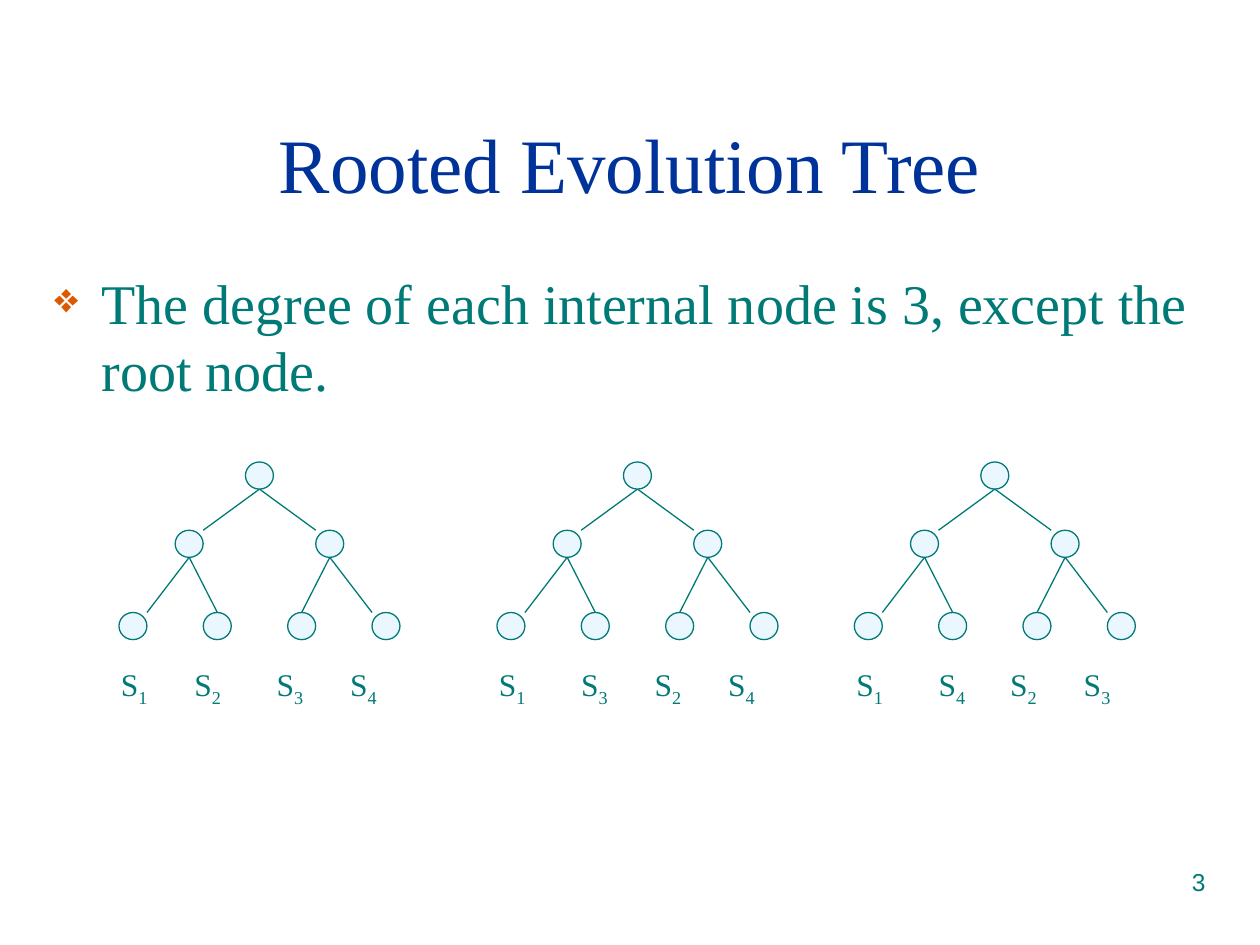
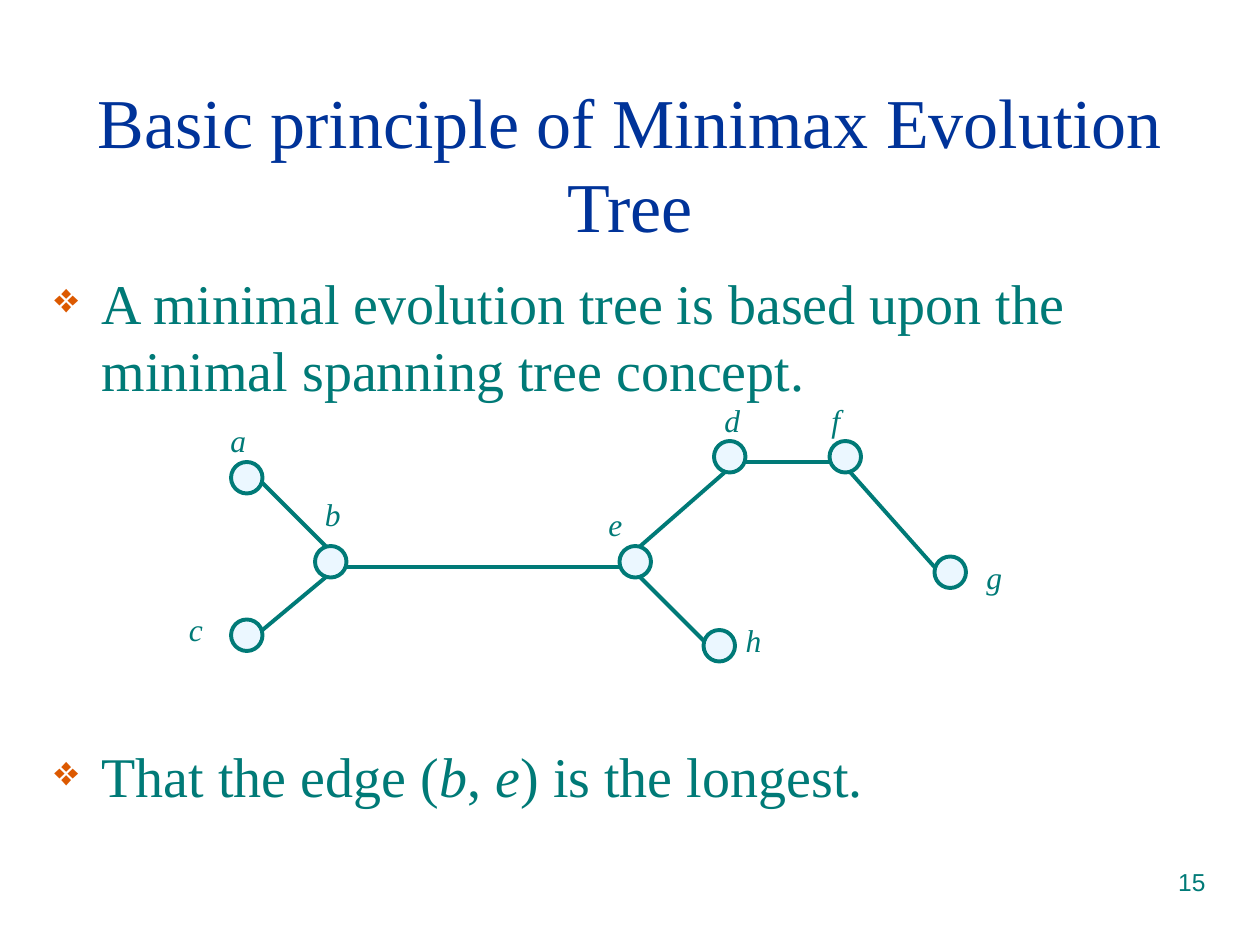
from typing import NamedTuple

from lxml.etree import SubElement
from pptx import Presentation
from pptx.dml.color import RGBColor
from pptx.enum.shapes import MSO_CONNECTOR, MSO_SHAPE
from pptx.enum.text import MSO_ANCHOR, PP_ALIGN
from pptx.oxml.ns import qn
from pptx.util import Pt

BLUE = RGBColor(0x00, 0x33, 0x99)
TEAL = RGBColor(0x00, 0x7A, 0x77)
PALE = RGBColor(0xEB, 0xF7, 0xFF)
ORANGE = RGBColor(0xDC, 0x59, 0x00)
SERIF = "Times New Roman"
SANS = "Arial"


class Run(NamedTuple):
    """A stretch of text in one style."""
    text: str
    size: float = 18
    color: RGBColor = TEAL
    font: str = SERIF
    slant: bool = False
    sub: bool = False


class Box(NamedTuple):
    """A place on the slide."""
    left: float
    top: float
    width: float
    height: float


class Edge(NamedTuple):
    """A straight line between two points."""
    x1: float
    y1: float
    x2: float
    y2: float


class Tree(NamedTuple):
    """A rooted tree with its leaf order and label stops."""
    left: float
    leaves: str
    stops: tuple[float, ...]


class Node(NamedTuple):
    """A named node and the corner of its label."""
    name: str
    x: float
    y: float
    tag_x: float
    tag_y: float


TITLE = Box(24, 48, 672, 90)
BODY = Box(24, 150, 672, 330)
FOOT = Box(516, 492, 180, 37)

PITCH = 48.2
WIDE, HIGH = 16, 15.5
ROWS = (264, 303, 350)
SPOTS = ((1.5, 0), (2 / 3, 1), (7 / 3, 1), (0, 2), (1, 2), (2, 2), (3, 2))
LINKS = ((0, 1, 1), (0, 2, 0), (1, 3, 1), (1, 4, 0.5), (2, 5, 0.5), (2, 6, 0))
TREES = (
    Tree(68, "1234", (42, 89, 131)),
    Tree(284, "1324", (47, 89, 131)),
    Tree(488.2, "1423", (47, 88, 130)),
)

DOT = 18
NODES = (
    Node("a", 132, 264, 124.6, 237),
    Node("b", 180, 312, 178.6, 279.4),
    Node("c", 132, 354, 100.8, 345),
    Node("d", 408, 252, 406.8, 225.4),
    Node("e", 354, 312, 340.6, 285.1),
    Node("f", 474, 252, 468, 225.4),
    Node("g", 534, 318, 556.6, 315.4),
    Node("h", 402, 360, 419, 351.4),
)
EDGES = (
    Edge(150, 276, 186, 312),
    Edge(150, 360, 186, 330),
    Edge(198, 324, 354, 324),
    Edge(366, 312, 414, 270),
    Edge(426, 264, 474, 264),
    Edge(486, 270, 534, 324),
    Edge(366, 330, 402, 366),
)


def put_runs(para, runs: list[Run]) -> None:
    """Add styled runs to a paragraph."""
    for item in runs:
        run = para.add_run()
        run.text = item.text
        font = run.font
        font.size = Pt(item.size)
        font.name = item.font
        font.color.rgb = item.color
        font.italic = item.slant
        if item.sub:
            font._element.set("baseline", "-25000")


def add_text(shapes, box: Box, runs: list[Run], align=PP_ALIGN.LEFT,
             anchor=MSO_ANCHOR.TOP, stops: tuple[float, ...] = ()):
    """Add a text box with one paragraph and return its frame."""
    frame = shapes.add_textbox(*map(Pt, box)).text_frame
    frame.word_wrap = True
    frame.vertical_anchor = anchor
    para = frame.paragraphs[0]
    para.alignment = align
    if stops:
        tabs = SubElement(para._p.get_or_add_pPr(), qn("a:tabLst"))
        for stop in stops:
            SubElement(tabs, qn("a:tab"), pos=str(Pt(stop)), algn="l")
    put_runs(para, runs)
    return frame


def add_mark(para) -> None:
    """Give a paragraph the hanging diamond bullet."""
    props = para._p.get_or_add_pPr()
    props.set("marL", str(Pt(27)))
    props.set("indent", str(Pt(-27)))
    color = SubElement(props, qn("a:buClr"))
    SubElement(color, qn("a:srgbClr"), val=str(ORANGE))
    SubElement(props, qn("a:buSzPct"), val="75000")
    SubElement(props, qn("a:buChar"), char="❖")


def add_dot(shapes, box: Box, weight: float) -> None:
    """Draw a round node."""
    dot = shapes.add_shape(MSO_SHAPE.OVAL, *map(Pt, box))
    dot.shadow.inherit = False
    dot.fill.solid()
    dot.fill.fore_color.rgb = PALE
    dot.line.color.rgb = TEAL
    dot.line.width = Pt(weight)


def add_edge(shapes, edge: Edge, weight: float) -> None:
    """Draw a line between nodes."""
    line = shapes.add_connector(MSO_CONNECTOR.STRAIGHT, *map(Pt, edge))
    line.line.color.rgb = TEAL
    line.line.width = Pt(weight)
    SubElement(line._element.spPr, qn("a:effectLst"))


def add_tree(slide, tree: Tree) -> None:
    """Draw one rooted tree with its leaf labels."""
    shapes = slide.shapes.add_group_shape().shapes
    spots = [(tree.left + col * PITCH, ROWS[row]) for col, row in SPOTS]
    for x, y in spots:
        add_dot(shapes, Box(x, y, WIDE, HIGH), 0.75)
    for top, low, part in LINKS:
        (x1, y1), (x2, y2) = spots[top], spots[low]
        add_edge(shapes, Edge(x1 + WIDE / 2, y1 + HIGH, x2 + part * WIDE, y2), 0.75)
    runs = []
    for rank, leaf in enumerate(tree.leaves):
        runs += [Run("\tS" if rank else "S"), Run(leaf, sub=True)]
    add_text(shapes, Box(tree.left - 6, 376.6, 165, 32), runs, stops=tree.stops)


def add_slide(deck, title: str, size: float, number: int, points: list[list[Run]],
              gap: float = 0):
    """Add a slide with title, bullets and page number."""
    slide = deck.slides.add_slide(deck.slide_layouts[6])
    add_text(slide.shapes, TITLE, [Run(title, size, BLUE)], PP_ALIGN.CENTER, MSO_ANCHOR.MIDDLE)
    frame = add_text(slide.shapes, BODY, [])
    for rank, runs in enumerate(points):
        para = frame.add_paragraph() if rank else frame.paragraphs[0]
        if rank:
            para.space_before = Pt(gap)
        add_mark(para)
        put_runs(para, runs)
    add_text(slide.shapes, FOOT, [Run(str(number), 14, font=SANS)], PP_ALIGN.RIGHT)
    return slide


def add_rooted(deck) -> None:
    """Build the slide of rooted trees."""
    text = "The degree of each internal node is 3, except the root node."
    slide = add_slide(deck, "Rooted Evolution Tree", 44, 3, [[Run(text, 32)]])
    for tree in TREES:
        add_tree(slide, tree)


def add_minimax(deck) -> None:
    """Build the slide of the minimax tree."""
    text = "A minimal evolution tree is based upon the minimal spanning tree concept."
    longest = [
        Run("That the edge (", 32),
        Run("b", 32, slant=True),
        Run(", ", 32),
        Run("e", 32, slant=True),
        Run(") is the longest.", 32),
    ]
    title = "Basic principle of Minimax Evolution Tree"
    slide = add_slide(deck, title, 40, 15, [[Run(text, 32)], longest], 193.6)
    for node in NODES:
        add_dot(slide.shapes, Box(node.x, node.y, DOT, DOT), 2.25)
        tag = Box(node.tag_x, node.tag_y, 24, 29)
        add_text(slide.shapes, tag, [Run(node.name, slant=True)])
    for edge in EDGES:
        add_edge(slide.shapes, edge, 2.25)


def main() -> None:
    """Build and save the deck."""
    deck = Presentation()
    deck.slide_width, deck.slide_height = Pt(720), Pt(540)
    add_rooted(deck)
    add_minimax(deck)
    deck.save("out.pptx")


if __name__ == "__main__":
    main()
